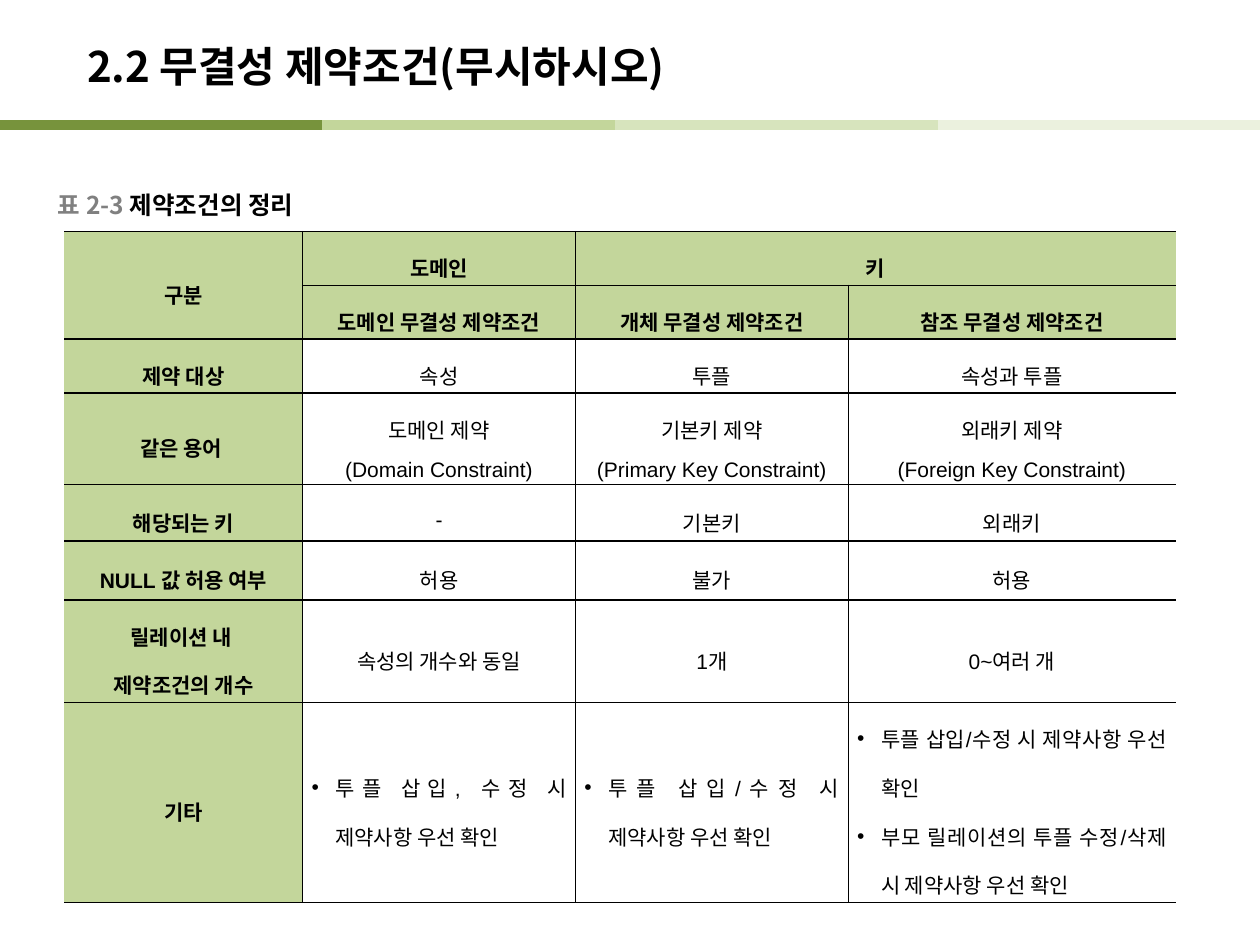
"""Builds the slide that sums up the integrity constraints in a table."""
from lxml.etree import SubElement
from pptx import Presentation
from pptx.dml.color import RGBColor
from pptx.enum.shapes import MSO_CONNECTOR
from pptx.enum.text import MSO_ANCHOR, MSO_AUTO_SIZE, PP_ALIGN
from pptx.oxml.ns import qn
from pptx.util import Cm, Pt

NOTO = "Noto Sans CJK KR"
GREEN = "C3D69B"


def hue(code):
    return RGBColor.from_string(code)


def write(par, text, color="000000", **form):
    run = par.add_run()
    run.text = text
    run.font.color.rgb = hue(color)
    for key, value in form.items():
        setattr(run.font, key, value)
    SubElement(run.font._element, qn("a:ea"), typeface=NOTO)


deck = Presentation()
deck.slide_width, deck.slide_height = Cm(25.4), Cm(19.05)
slide = deck.slides.add_slide(deck.slide_layouts[5])

bars = [(5.9, GREEN), (12.4, "D7E4BD"), (18.9, "EBF1DE"), (0, "77933C")]
for left, color in bars:
    bar = slide.shapes.add_connector(
        MSO_CONNECTOR.STRAIGHT, Cm(left), Cm(2.52), Cm(left + 6.5), Cm(2.52))
    bar.line.color.rgb = hue(color)
    bar.line.width = Pt(6)
    SubElement(bar._element.spPr, qn("a:effectLst"))

title = slide.shapes.title
place = {"left": Cm(1.5), "top": Cm(0.56), "width": Cm(21), "height": Cm(1.52)}
for key, value in place.items():
    setattr(title, key, value)
frame = title.text_frame
frame.auto_size = MSO_AUTO_SIZE.NONE
frame.vertical_anchor = MSO_ANCHOR.MIDDLE
frame.paragraphs[0].alignment = PP_ALIGN.LEFT
write(frame.paragraphs[0], "2.2 무결성 제약조건(무시하시오)",
      size=Pt(24), name=NOTO, bold=True)

rows = [
    (0.91, ["구분", "도메인", "키", ""]),
    (0.91, ["", "도메인 무결성 제약조건", "개체 무결성 제약조건", "참조 무결성 제약조건"]),
    (0.99, ["제약 대상", "속성", "투플", "속성과 투플"]),
    (1.85, ["같은 용어 ", "도메인 제약\n(Domain Constraint)",
            "기본키 제약\n(Primary Key Constraint)",
            "외래키 제약\n(Foreign Key Constraint)"]),
    (1.14, ["해당되는 키", "-", "기본키", "외래키"]),
    (1.19, ["NULL 값 허용 여부", "허용", "불가", "허용"]),
    (2.01, ["릴레이션 내 \n제약조건의 개수", "속성의 개수와 동일", "1개", "0~여러 개"]),
    (3.05, ["기타", "투플 삽입, 수정 시 제약사항 우선 확인",
            "투플 삽입/수정 시 제약사항 우선 확인",
            "투플 삽입/수정 시 제약사항 우선 확인 \n"
            "부모 릴레이션의 투플 수정/삭제 시 제약사항 우선 확인"]),
]
wides = [4.8, 5.5, 5.5, 6.6]
last = len(rows) - 1
high = sum(height for height, texts in rows)
chart = slide.shapes.add_table(len(rows), len(wides), Cm(1.3), Cm(4.67),
                               Cm(sum(wides)), Cm(high))
table = chart.table
table.first_row = table.horz_banding = False
for style in chart._element.iter(qn("a:tableStyleId")):
    style.text = "{2D5ABB26-0587-4C30-8999-92F81FD0307C}"
for col, wide in zip(table.columns, wides):
    col.width = Cm(wide)
table.cell(0, 0).merge(table.cell(1, 0))
table.cell(0, 2).merge(table.cell(0, 3))

inset = {"margin_left": Cm(0.18), "margin_right": Cm(0.18),
         "margin_top": Cm(0.05), "margin_bottom": Cm(0.05),
         "vertical_anchor": MSO_ANCHOR.MIDDLE}
for y, (height, texts) in enumerate(rows):
    table.rows[y].height = Cm(height)
    for x, text in enumerate(texts):
        cell = table.cell(y, x)
        if cell.is_spanned:
            continue
        for key, value in inset.items():
            setattr(cell, key, value)
        edges = {"L": x > 0, "R": x + cell.span_width < len(wides),
                 "T": True, "B": True}
        for side, shown in edges.items():
            if shown:
                edge = SubElement(cell._tc.tcPr, qn(f"a:ln{side}"), w="12700")
                paint = SubElement(edge, qn("a:solidFill"))
                SubElement(paint, qn("a:srgbClr"), val="000000")
        head = y < 2 or x == 0
        if head:
            cell.fill.solid()
            cell.fill.fore_color.rgb = hue(GREEN)
        else:
            cell.fill.background()
        for n, part in enumerate(text.split("\n")):
            par = cell.text_frame.paragraphs[0] if n == 0 else cell.text_frame.add_paragraph()
            par.alignment = PP_ALIGN.CENTER
            if y == last and not head:
                props = par._p.get_or_add_pPr()
                props.set("marL", str(Cm(0.48)))
                props.set("indent", str(-Cm(0.48)))
                SubElement(props, qn("a:buFont"), typeface="Arial")
                SubElement(props, qn("a:buChar"), char="•")
                par.alignment = PP_ALIGN.JUSTIFY
            par.line_spacing = 1.6
            write(par, part, size=Pt(12), bold=head, name=NOTO if y < 2 else "Arial")

label = slide.shapes.add_textbox(Cm(0.92), Cm(3.73), Cm(6), Cm(0.8)).text_frame
label.word_wrap = True
label.vertical_anchor = MSO_ANCHOR.MIDDLE
for text, color in [("표 2-3 ", "808080"), ("제약조건의 정리", "000000")]:
    write(label.paragraphs[0], text, color, size=Pt(14), name=NOTO, bold=True)

deck.save("out.pptx")
